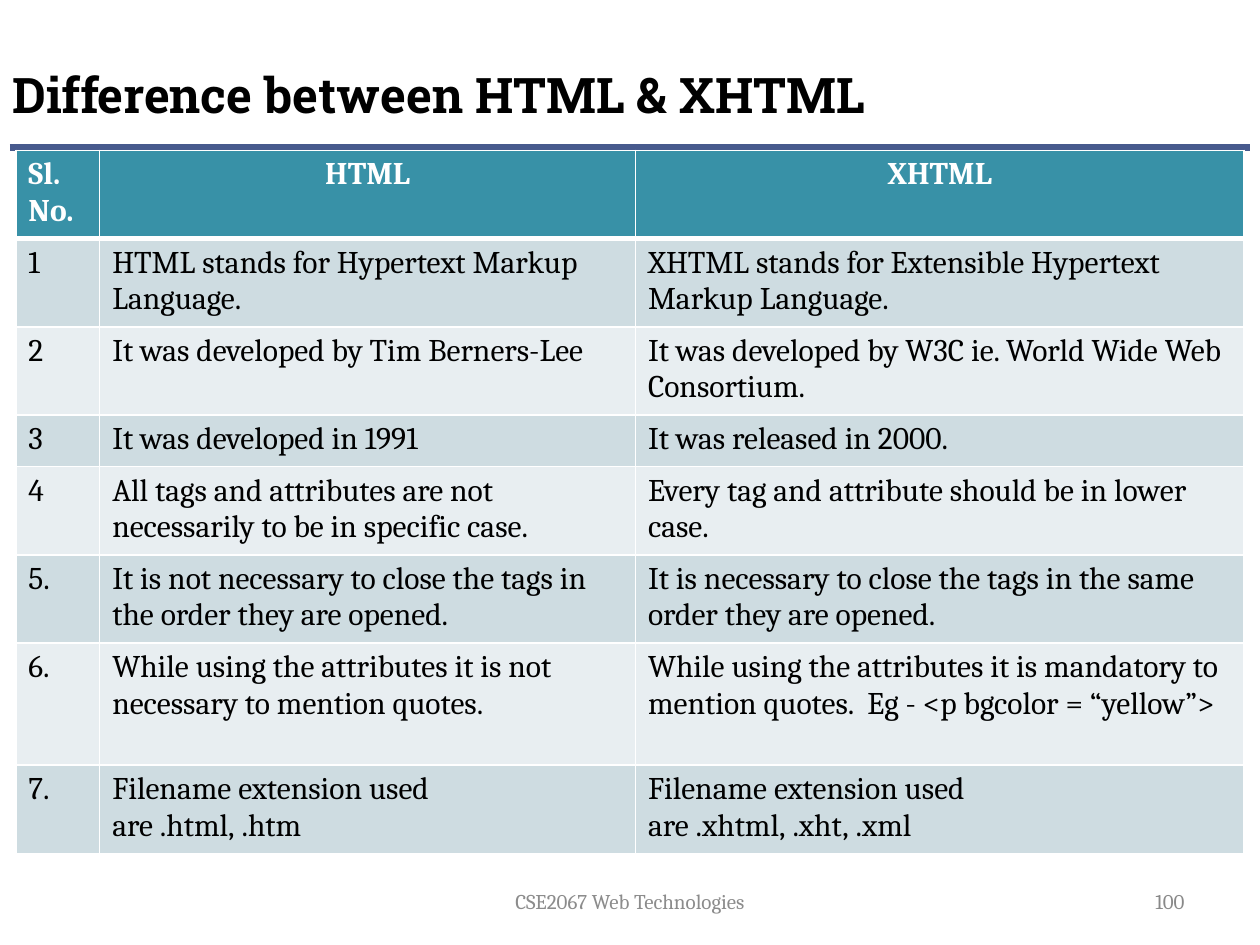
from lxml import etree
from pptx import Presentation
from pptx import util as u
from pptx.dml.color import RGBColor
from pptx.enum import shapes, text
from pptx.oxml.ns import qn

WHITE = RGBColor(0xFF, 0xFF, 0xFF)
BLACK = RGBColor(0, 0, 0)
RULE_BLUE = RGBColor(0x47, 0x5A, 0x8D)
HEADER_TEAL = RGBColor(0x38, 0x91, 0xA7)
BANDS = (RGBColor(0xCE, 0xDC, 0xE1), RGBColor(0xE8, 0xEE, 0xF1))
FOOTER_GREY = RGBColor(0x8C, 0x8C, 0x8C)
NUMBER_GREY = RGBColor(0x89, 0x89, 0x89)

LEFT, CENTER, RIGHT = (text.PP_ALIGN.LEFT, text.PP_ALIGN.CENTER, text.PP_ALIGN.RIGHT)
NBSP = chr(160)  # keeps the file extensions together on one line

ROWS = [
    ("Sl. No.", "HTML", "XHTML"),
    ("1", "HTML stands for Hypertext Markup Language.",
     "XHTML stands for Extensible Hypertext Markup Language."),
    ("2", "It was developed by Tim Berners-Lee",
     "It was developed by W3C ie. World Wide Web Consortium."),
    ("3", "It was developed in 1991", "It was released in 2000."),
    ("4", "All tags and attributes are not necessarily to be in specific case.",
     "Every tag and attribute should be in lower case."),
    ("5.", "It is not necessary to close the tags in the order they are opened.",
     "It is necessary to close the tags in the same order they are opened."),
    ("6.", "While using the attributes it is not necessary to mention quotes.",
     "While using the attributes it is mandatory to mention quotes.  "
     "Eg - <p bgcolor = “yellow”>"),
    ("7.", f"Filename extension used are{NBSP}.html,{NBSP}.htm",
     f"Filename extension used are{NBSP}.xhtml,{NBSP}.xht,{NBSP}.xml"),
]
COLUMN_WIDTHS = (1.69, 10.8, 12.27)
ROW_HEIGHTS = (1.72, 1.72, 1.72, 1.04, 1.72, 1.72, 2.46, 1.72)


def write(frame, content, color, align=LEFT, **font_format):
    """Put one formatted paragraph into a text frame."""
    paragraph = frame.paragraphs[0]
    paragraph.alignment = align
    run = paragraph.add_run()
    run.text = content
    run.font.color.rgb = color
    for name, value in font_format.items():
        setattr(run.font, name, value)


def add_label(slide, box, content, color, anchor, align=LEFT, **font_format):
    shape = slide.shapes.add_textbox(*(u.Cm(length) for length in box))
    for name, value in {"word_wrap": True, "vertical_anchor": anchor}.items():
        setattr(shape.text_frame, name, value)
    write(shape.text_frame, content, color, align, **font_format)


def add_heading(slide, left, top, width, height):
    # Rule under the title
    rule_top, margin = top + height + 0.35, 0.2
    rule = slide.shapes.add_connector(
        shapes.MSO_CONNECTOR.STRAIGHT, u.Cm(left + margin), u.Cm(rule_top),
        u.Cm(left + width - margin), u.Cm(rule_top))
    rule.line.color.rgb = RULE_BLUE
    rule.line.width = u.Pt(4)
    etree.SubElement(rule._element.spPr, qn("a:effectLst"))
    # Title
    add_label(slide, (left, top, width, height), "Difference between HTML & XHTML",
              BLACK, text.MSO_ANCHOR.BOTTOM,
              name="Roboto Slab", size=u.Pt(28), bold=True)


def set_borders(cell, top, bottom):
    """Draw white borders; top and bottom widths are in points."""
    properties = cell._tc.get_or_add_tcPr()
    for tag, points in {"lnL": 1, "lnR": 1, "lnT": top, "lnB": bottom}.items():
        line = etree.SubElement(properties, qn(f"a:{tag}"), w=str(u.Pt(points)))
        fill = etree.SubElement(line, qn("a:solidFill"))
        etree.SubElement(fill, qn("a:srgbClr"), val=str(WHITE))


def add_comparison(slide, left, top):
    frame = slide.shapes.add_table(
        len(ROWS), len(COLUMN_WIDTHS), u.Cm(left), u.Cm(top),
        u.Cm(sum(COLUMN_WIDTHS)), u.Cm(sum(ROW_HEIGHTS)))
    table = frame.table
    for column, width in zip(table.columns, COLUMN_WIDTHS):
        column.width = u.Cm(width)
    for row, height in zip(table.rows, ROW_HEIGHTS):
        row.height = u.Cm(height)
    for r, contents in enumerate(ROWS):
        header = r == 0
        for c, content in enumerate(contents):
            cell = table.cell(r, c)
            set_borders(cell, top=3 if r == 1 else 1, bottom=3 if header else 1)
            cell.fill.solid()
            cell.fill.fore_color.rgb = HEADER_TEAL if header else BANDS[(r - 1) % 2]
            write(cell.text_frame, content, WHITE if header else BLACK,
                  CENTER if header and c else LEFT,
                  name="Cambria", size=u.Pt(18), bold=header)


def add_footer(slide, left, top, width, height):
    font = {"name": "Cambria", "size": u.Pt(12)}
    middle = text.MSO_ANCHOR.MIDDLE
    number_width = 5.93
    # Course name
    add_label(slide, (left, top, 8.04, height), "CSE2067 Web Technologies",
              FOOTER_GREY, middle, CENTER, **font)
    # Slide number
    add_label(slide, (left + width - number_width, top, number_width, height), "100",
              NUMBER_GREY, middle, RIGHT, **font)


def main():
    presentation = Presentation()
    presentation.slide_width, presentation.slide_height = u.Cm(25.4), u.Cm(19.05)
    slide = presentation.slides.add_slide(presentation.slide_layouts[6])
    add_heading(slide, 0, 0.64, 25.4, 1.98)
    add_footer(slide, 8.68, 17.66, 15.45, 1.01)
    add_comparison(slide, 0.32, 3.03)
    presentation.save("out.pptx")


if __name__ == "__main__":
    main()
